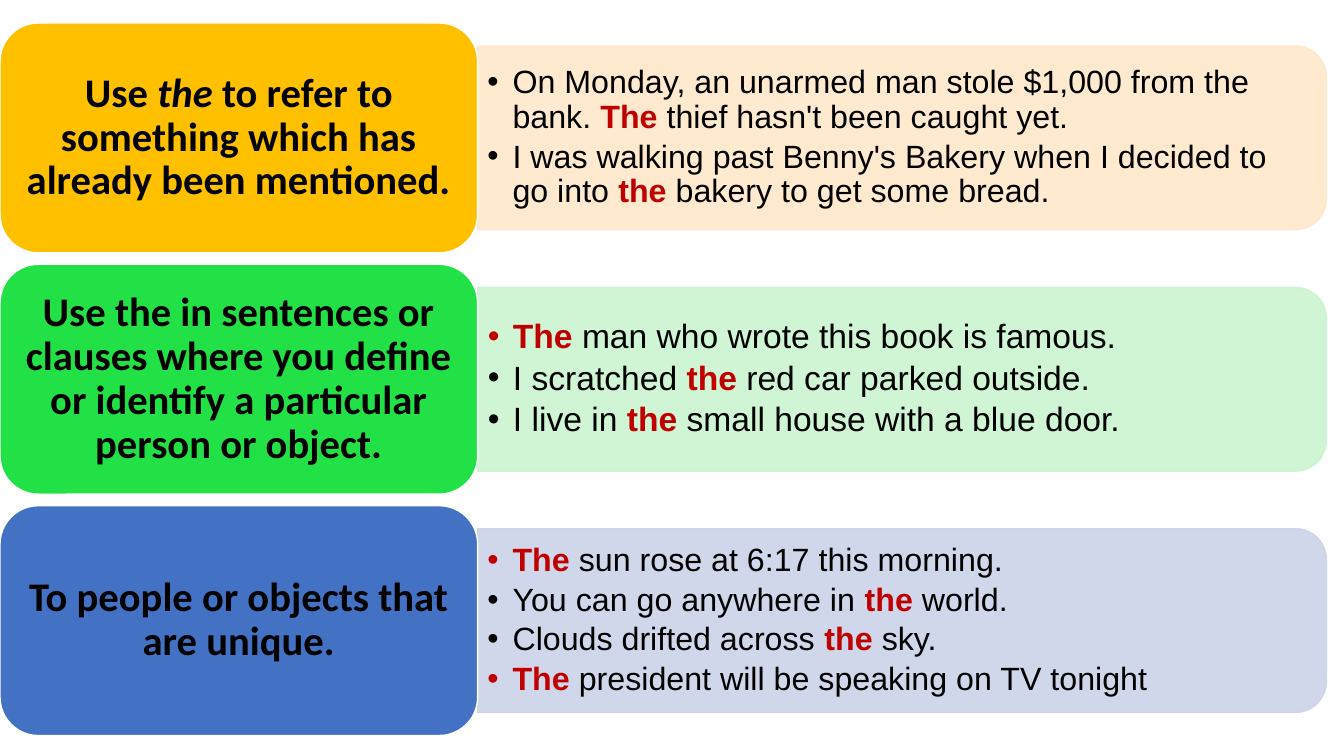
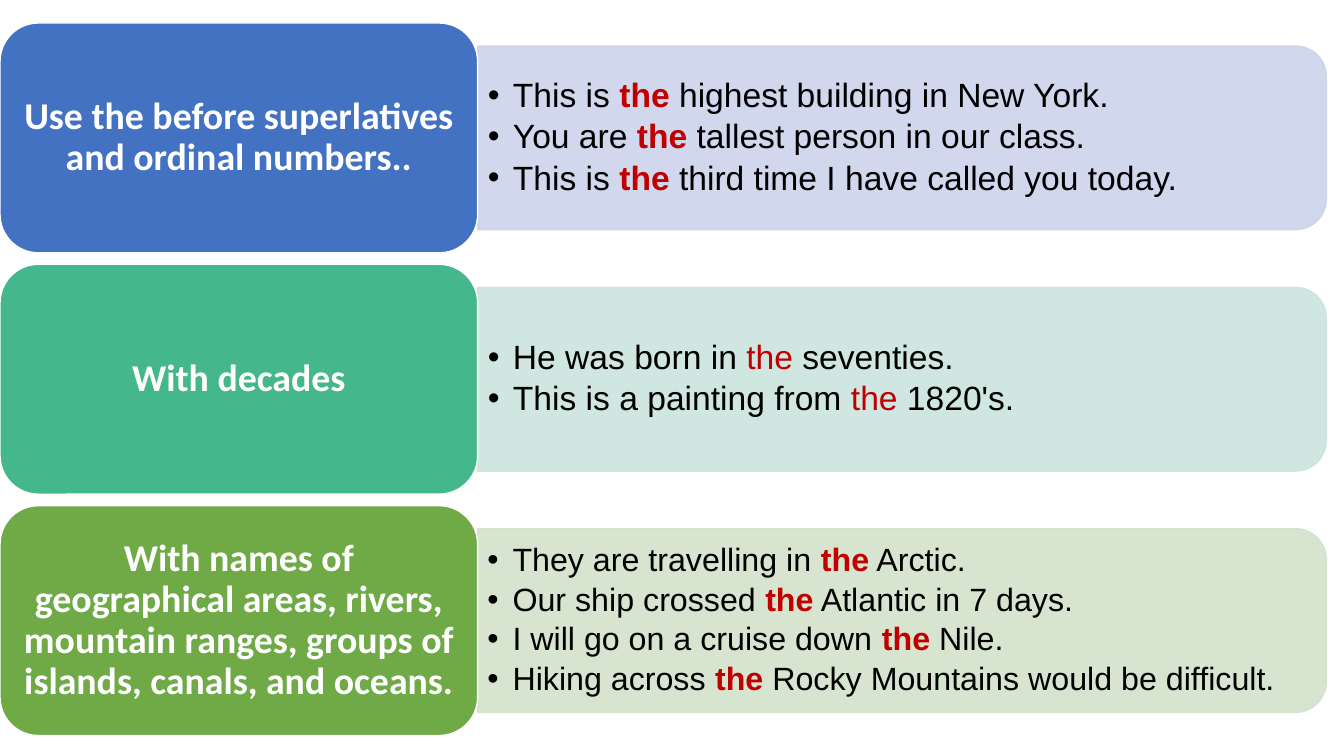
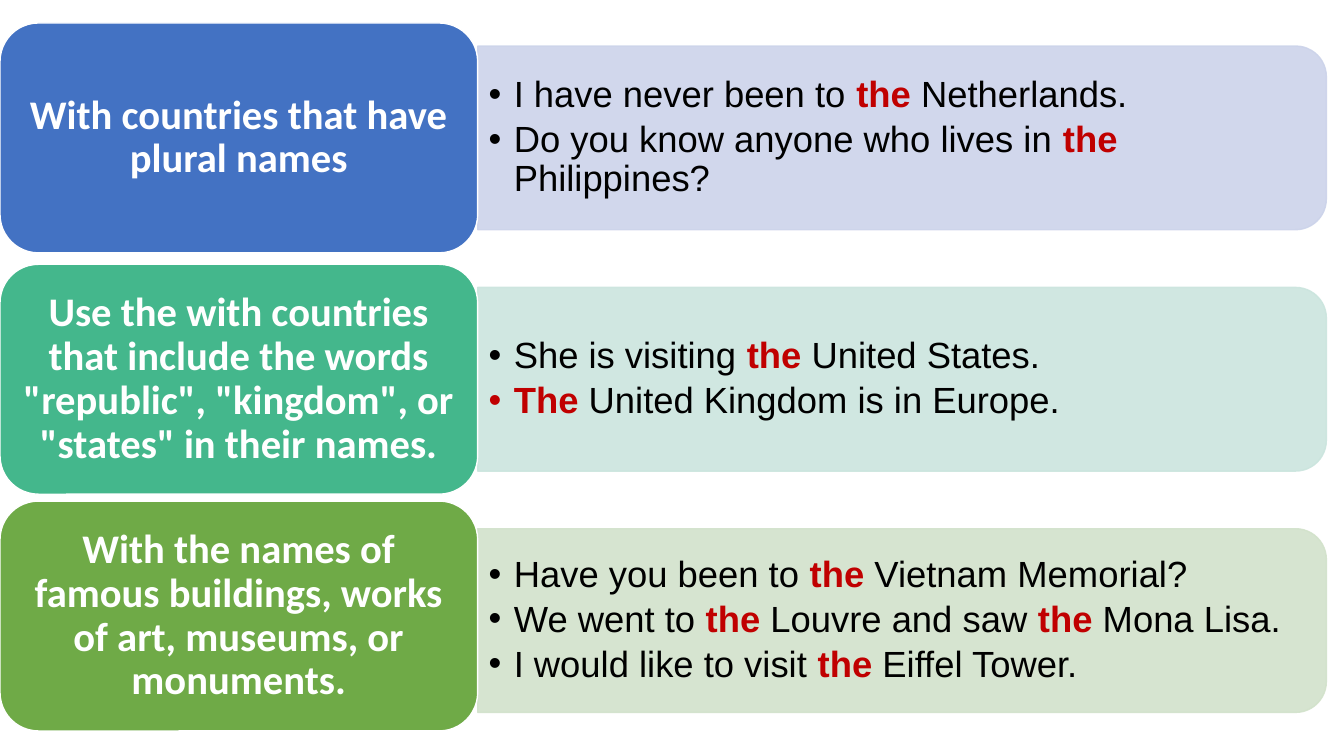
from dataclasses import dataclass

from lxml import etree
from pptx import Presentation
from pptx.dml.color import RGBColor
from pptx.enum.shapes import MSO_SHAPE
from pptx.enum.text import MSO_ANCHOR, MSO_AUTO_SIZE, PP_ALIGN
from pptx.oxml.ns import qn
from pptx.util import Pt

ROUNDED = MSO_SHAPE.ROUNDED_RECTANGLE
ROUNDED_TOP = MSO_SHAPE.ROUND_2_SAME_RECTANGLE
MIDDLE = MSO_ANCHOR.MIDDLE
NO_FIT = MSO_AUTO_SIZE.NONE
CENTER, LEFT = PP_ALIGN.CENTER, PP_ALIGN.LEFT

COLORS = {
    "black": "000000", "white": "FFFFFF", "accent": "C00000",
    "amber": "FFC000", "amber_pale": "FFE8CA",
    "lime": "21E146", "lime_pale": "CAF4D0",
    "royal": "4371C3", "royal_pale": "CDD3E8",
    "blue": "4372C3", "blue_pale": "CCD3EA",
    "teal": "44B78C", "teal_pale": "CBE5DE",
    "green": "6FAA47", "green_pale": "D2E2CB",
}

# Row geometry, in points
SLIDE_W, SLIDE_H = 960, 540
FIRST_CENTER, ROW_PITCH = 98.5, 172.4
LABEL_W, LABEL_H = 341.2, 164.2
PANEL_W, PANEL_H = 606.2, 131.2
LIST_W, LIST_H = 599.8, 118.8
CORNER = 0.167
BULLET_INDENT = 18
COMPARISON_LAYOUT = 4


@dataclass
class Rule:
    """A rule with its examples; asterisks enclose the emphasised words."""
    label: str
    color: str
    examples: list[str]
    example_size: int
    bold_accent: bool = True
    label_shift: float = 0


@dataclass
class RuleSlide:
    label_size: int
    label_color: str
    rules: list[Rule]


SLIDES = [
    RuleSlide(29, "black", [
        Rule("Use *the* to refer to something which has already been mentioned.", "amber", [
            "On Monday, an unarmed man stole $1,000 from the bank. *The* thief hasn't been caught yet.",
            "I was walking past Benny's Bakery when I decided to go into *the* bakery to get some bread.",
        ], 23),
        Rule("Use the in sentences or clauses where you define or identify "
             "a particular person or object.", "lime", [
                 "*The* man who wrote this book is famous.",
                 "I scratched *the* red car parked outside.",
                 "I live in *the* small house with a blue door.",
             ], 24),
        Rule("To people or objects that are unique.", "royal", [
            "*The* sun rose at 6:17 this morning.",
            "You can go anywhere in *the* world.",
            "Clouds drifted across *the* sky.",
            "*The* president will be speaking on TV tonight",
        ], 23),
    ]),
    RuleSlide(27, "white", [
        Rule("Use the before superlatives and ordinal numbers..", "blue", [
            "This is *the* highest building in New York.",
            "You are *the* tallest person in our class.",
            "This is *the* third time I have called you today.",
        ], 24),
        Rule("With decades", "teal", [
            "He was born in *the* seventies.",
            "This is a painting from *the* 1820's.",
        ], 24, bold_accent=False),
        Rule("With names of geographical areas, rivers, mountain ranges, "
             "groups of islands, canals, and oceans.", "green", [
                 "They are travelling in *the* Arctic.",
                 "Our ship crossed *the* Atlantic in 7 days.",
                 "I will go on a cruise down *the* Nile.",
                 "Hiking across *the* Rocky Mountains would be difficult.",
             ], 23),
    ]),
    RuleSlide(29, "white", [
        Rule("With countries that have plural names", "blue", [
            "I have never been to *the* Netherlands.",
            "Do you know anyone who lives in *the* Philippines?",
        ], 26),
        Rule('Use the with countries that include the words "republic", '
             '"kingdom", or "states" in their names.', "teal", [
                 "She is visiting *the* United States.",
                 "*The* United Kingdom is in Europe.",
             ], 26),
        Rule("With the names of famous buildings, works of art, museums, or monuments.", "green", [
            "Have you been to *the* Vietnam Memorial?",
            "We went to *the* Louvre and saw *the* Mona Lisa.",
            "I would like to visit *the* Eiffel Tower.",
        ], 26, label_shift=-3.3),
    ]),
]


def rgb(name: str) -> RGBColor:
    return RGBColor.from_string(COLORS[name])


def apply(target, values: dict) -> None:
    for name, value in values.items():
        setattr(target, name, value)


def format_frame(frame, size: int) -> None:
    """Centre the text vertically, with margins in proportion to its size."""
    side, end = Pt(0.3 * size), Pt(0.15 * size)
    apply(frame, {
        "word_wrap": True, "auto_size": NO_FIT, "vertical_anchor": MIDDLE,
        "margin_left": side, "margin_right": side,
        "margin_top": end, "margin_bottom": end,
    })


def add_runs(paragraph, text: str, plain: dict, emphasis: dict, color: str,
             emphasis_color: str) -> None:
    for index, part in enumerate(text.split("*")):
        if part:
            emphasised = index % 2 == 1
            run = paragraph.add_run()
            run.text = part
            apply(run.font, plain | emphasis if emphasised else plain)
            run.font.color.rgb = rgb(emphasis_color if emphasised else color)


def add_bullet(paragraph, color: str) -> None:
    props = paragraph._p.get_or_add_pPr()
    props.set("marL", str(Pt(BULLET_INDENT)))
    props.set("indent", str(-Pt(BULLET_INDENT)))
    bullet_color = etree.SubElement(props, qn("a:buClr"))
    etree.SubElement(bullet_color, qn("a:srgbClr"), val=COLORS[color])
    etree.SubElement(props, qn("a:buFont"), typeface="Arial")
    etree.SubElement(props, qn("a:buChar"), char="•")


def add_block(slide, kind, left: float, top: float, width: float, height: float,
              fill: str, line: str):
    block = slide.shapes.add_shape(kind, Pt(left), Pt(top), Pt(width), Pt(height))
    block.shadow.inherit = False
    block.adjustments[0] = CORNER
    block.fill.solid()
    block.fill.fore_color.rgb = rgb(fill)
    block.line.color.rgb = rgb(line)
    block.line.width = Pt(1)
    return block


def add_panel(slide, rule: Rule, center: float):
    """A strip rounded on its right side: a quarter turn of a round-topped one."""
    pale = rule.color + "_pale"
    panel = add_block(slide, ROUNDED_TOP, LABEL_W + (PANEL_W - PANEL_H) / 2,
                      center - PANEL_W / 2, PANEL_H, PANEL_W, pale, pale)
    panel.rotation = 90
    for color in panel.element.spPr.iter(qn("a:srgbClr")):
        etree.SubElement(color, qn("a:alpha"), val="90000")
    return panel


def fill_examples(body, rule: Rule, center: float) -> None:
    apply(body, {"left": Pt(LABEL_W), "top": Pt(center - LIST_H / 2),
                 "width": Pt(LIST_W), "height": Pt(LIST_H)})
    frame, size = body.text_frame, rule.example_size
    format_frame(frame, size)
    plain = {"name": "Arial", "size": Pt(size), "bold": False}
    for index, example in enumerate(rule.examples):
        paragraph = frame.add_paragraph() if index else frame.paragraphs[0]
        add_bullet(paragraph, "accent" if example.startswith("*") else "black")
        apply(paragraph, {"alignment": LEFT, "line_spacing": 0.9, "space_after": Pt(0),
                          "space_before": Pt(0.15 * size if index else 0)})
        add_runs(paragraph, example, plain, {"bold": rule.bold_accent}, "black", "accent")


def add_label(slide, rule: Rule, center: float, size: int, color: str) -> None:
    label = add_block(slide, ROUNDED, 0, center - LABEL_H / 2 + rule.label_shift,
                      LABEL_W, LABEL_H, rule.color, "white")
    format_frame(label.text_frame, size)
    paragraph = label.text_frame.paragraphs[0]
    apply(paragraph, {"alignment": CENTER, "line_spacing": 0.9})
    plain = {"name": "Calibri", "size": Pt(size), "bold": True}
    add_runs(paragraph, rule.label, plain, {"italic": True}, color, color)


def build_slide(deck, content: RuleSlide) -> None:
    slide = deck.slides.add_slide(deck.slide_layouts[COMPARISON_LAYOUT])
    title, *bodies = slide.placeholders
    for row, (rule, body) in enumerate(zip(content.rules, bodies)):
        center = FIRST_CENTER + row * ROW_PITCH
        panel = add_panel(slide, rule, center)
        panel.element.addnext(body.element)  # examples lie above their panel
        fill_examples(body, rule, center)
        add_label(slide, rule, center, content.label_size, content.label_color)
    for unused in [title, *bodies[len(content.rules):]]:
        unused.element.getparent().remove(unused.element)


def main() -> None:
    deck = Presentation()
    deck.slide_width, deck.slide_height = Pt(SLIDE_W), Pt(SLIDE_H)
    for content in SLIDES:
        build_slide(deck, content)
    deck.save("out.pptx")


if __name__ == "__main__":
    main()
